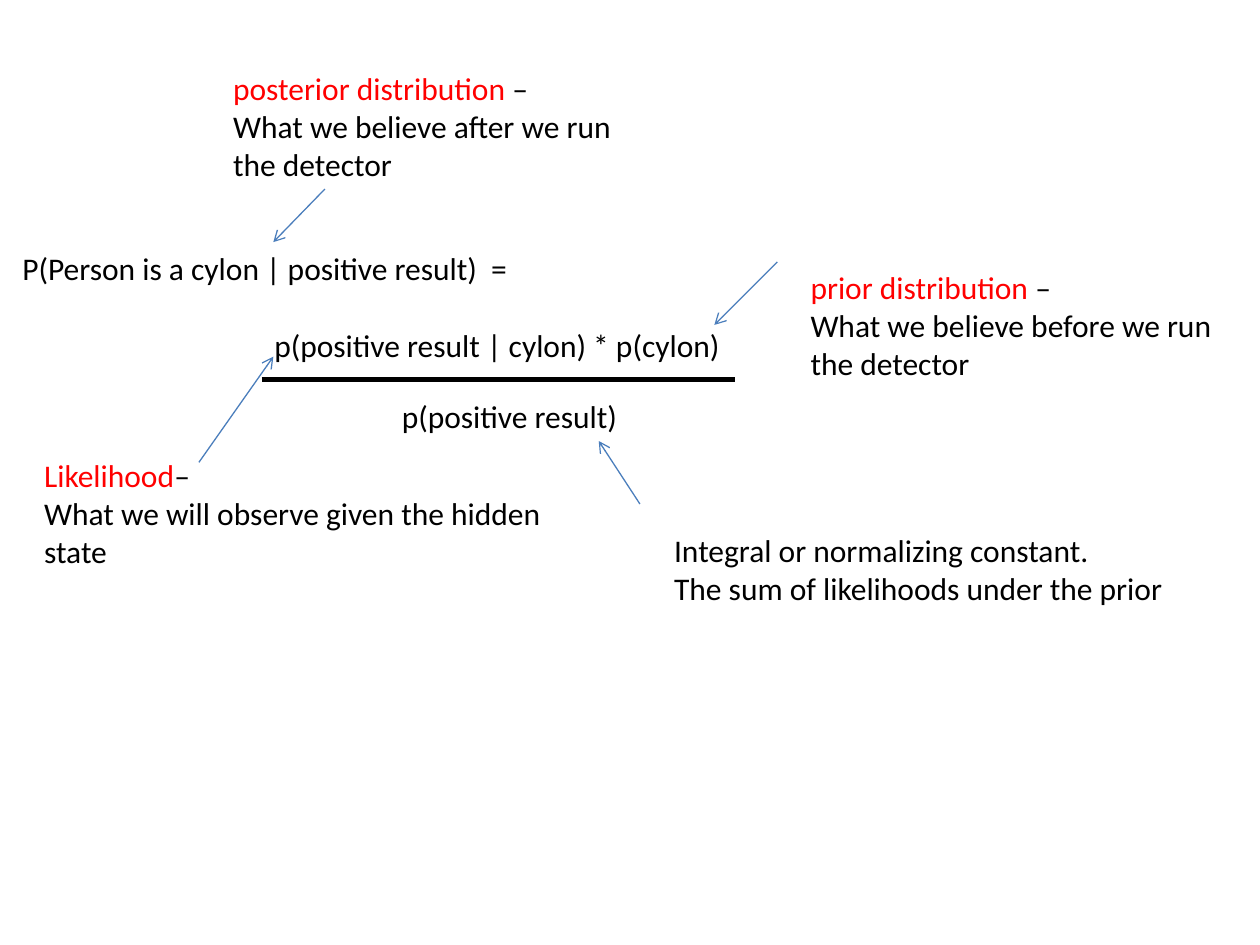
from dataclasses import dataclass

from lxml.etree import SubElement
from pptx import Presentation
from pptx.dml.color import RGBColor
from pptx.enum.shapes import MSO_CONNECTOR
from pptx.oxml.ns import qn
from pptx.slide import Slide
from pptx.util import Cm, Pt


@dataclass(frozen=True)
class Theme:
    font: str = "Calibri"
    size: Pt = Pt(18)
    line_gap: Pt = Pt(22)
    ink: RGBColor = RGBColor(0x00, 0x00, 0x00)
    term: RGBColor = RGBColor(0xFF, 0x00, 0x00)
    arrow: RGBColor = RGBColor(0x4B, 0x7E, 0xBC)
    arrow_width: Pt = Pt(0.75)
    fraction_width: Pt = Pt(3)


THEME = Theme()


@dataclass(frozen=True)
class Line:
    text: str
    term: str = ""
    indent: float = 0
    gap_above: bool = False


@dataclass(frozen=True)
class Note:
    left: float
    top: float
    width: float
    height: float
    lines: tuple[Line, ...]


@dataclass(frozen=True)
class Stroke:
    start: tuple[float, float]
    end: tuple[float, float]
    color: RGBColor = THEME.arrow
    width: Pt = THEME.arrow_width
    arrow: bool = True


NOTES = (
    Note(0.2, 4.9, 15.04, 2.57, (
        Line("P(Person is a cylon | positive result)  ="),
        Line("p(positive result | cylon) * p(cylon)", indent=5.08, gap_above=True),
    )),
    Note(7.85, 7.87, 5.05, 1.02, (Line("p(positive result)"),)),
    Note(16.09, 5.28, 8.71, 2.57, (
        Line("–", term="prior distribution "),
        Line("What we believe before we run"),
        Line("the detector"),
    )),
    Note(13.34, 10.59, 10.49, 2.57, (
        Line("Integral or normalizing constant."),
        Line("The sum of likelihoods under the prior"),
    )),
    Note(4.45, 1.27, 12.7, 2.57, (
        Line("–", term="posterior distribution "),
        Line("What we believe after we run"),
        Line("the detector"),
    )),
    Note(0.64, 9.07, 10.87, 2.57, (
        Line("–", term="Likelihood"),
        Line("What we will observe given the hidden state"),
    )),
)

STROKES = (
    Stroke((5.28, 7.65), (14.81, 7.65), THEME.ink, THEME.fraction_width, arrow=False),
    Stroke((15.67, 5.28), (14.4, 6.55)),
    Stroke((12.9, 10.16), (12.07, 8.89)),
    Stroke((6.55, 3.81), (5.51, 4.88)),
    Stroke((4.01, 9.32), (5.51, 7.19)),
)


def add_note(page: Slide, note: Note) -> None:
    box = page.shapes.add_textbox(
        Cm(note.left), Cm(note.top), Cm(note.width), Cm(note.height)
    )
    frame = box.text_frame
    frame.word_wrap = True
    for index, line in enumerate(note.lines):
        para = frame.add_paragraph() if index else frame.paragraphs[0]
        para.font.name = THEME.font
        para.font.size = THEME.size
        if line.gap_above:
            para.space_before = THEME.line_gap
        if line.indent:
            para._p.get_or_add_pPr().set("marL", str(Cm(line.indent)))
        for text, color in ((line.term, THEME.term), (line.text, THEME.ink)):
            if text:
                span = para.add_run()
                span.text = text
                span.font.color.rgb = color


def add_stroke(page: Slide, stroke: Stroke) -> None:
    connector = page.shapes.add_connector(
        MSO_CONNECTOR.STRAIGHT, *map(Cm, stroke.start + stroke.end)
    )
    connector.line.color.rgb = stroke.color
    connector.line.width = stroke.width
    if stroke.arrow:
        SubElement(connector.line._get_or_add_ln(), qn("a:tailEnd"), type="arrow")
    SubElement(connector._element.spPr, qn("a:effectLst"))


def main() -> None:
    deck = Presentation()
    deck.slide_width, deck.slide_height = Cm(25.4), Cm(19.05)
    page = deck.slides.add_slide(deck.slide_layouts[6])
    for note in NOTES:
        add_note(page, note)
    for stroke in STROKES:
        add_stroke(page, stroke)
    deck.save("out.pptx")


if __name__ == "__main__":
    main()
